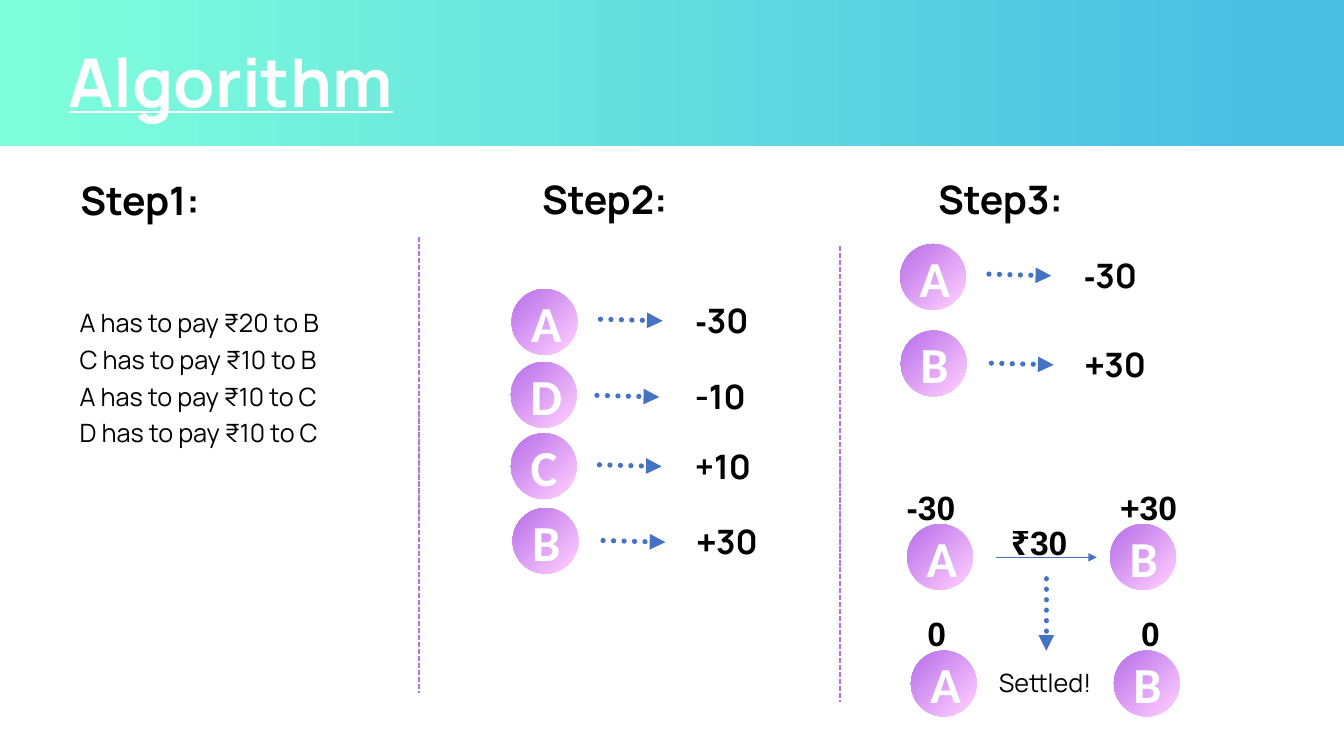
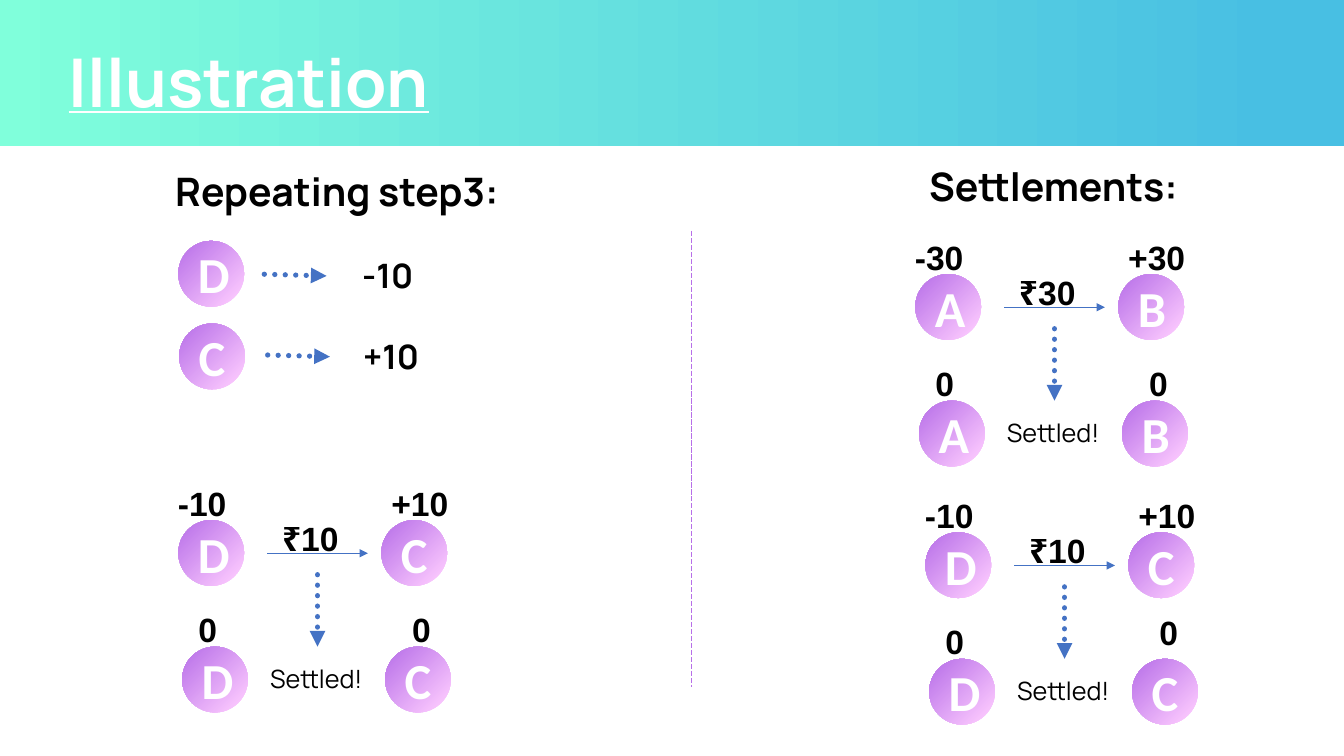
import collections
import dataclasses

import lxml.etree
import pptx
import pptx.dml.color
import pptx.enum.dml
import pptx.enum.shapes
import pptx.enum.text
import pptx.oxml.ns
import pptx.util

Pt = pptx.util.Pt
qn = pptx.oxml.ns.qn
DASH = pptx.enum.dml.MSO_LINE
SHAPE = pptx.enum.shapes.MSO_SHAPE
ALIGN = pptx.enum.text.PP_ALIGN
ANCHOR = pptx.enum.text.MSO_ANCHOR


# Colours, fonts and sizes
@dataclasses.dataclass(frozen=True)
class Theme:
    white: str = "FFFFFF"
    ink: str = "000000"
    arrow: str = "4472C4"
    divider: str = "B76FE8"
    band: tuple = ((0, "80FFDB"), (0.95, "48BFE3"))
    ball: tuple = ((0.05, "FFCDFF"), (1, "B66EE8"))
    main_font: str = "Manrope"
    figure_font: str = "Arial"
    ball_font: str = "Calibri"
    title_size: int = 48
    ball_size: int = 36
    heading_size: int = 28
    figure_size: int = 24
    body_size: int = 18


# How each person's balance row is set out, relative to the ball
Row = collections.namedtuple("Row", "arrow_x arrow_y value_y sign_font")
ROWS = {
    "A": Row(63.4, 21.5, 4, "Arial"),
    "B": Row(64.6, 23.2, 5.7, "Arial"),
    "C": Row(63.2, 22.5, 5.4, "Manrope"),
    "D": Row(61.4, 23.8, 6.4, "Manrope"),
}
BALL = 47
VALUE_X = 124.3


def rgb(code):
    return pptx.dml.color.RGBColor.from_string(code)


class Builder:
    def __init__(self, theme):
        self.theme = theme
        self.deck = pptx.Presentation()
        self.deck.slide_width, self.deck.slide_height = Pt(960), Pt(540)
        self.page = None

    # Page with its band and title
    def start_page(self, title, title_width, layout):
        self.page = self.deck.slides.add_slide(self.deck.slide_layouts[layout])
        band = self.shape(SHAPE.RECTANGLE, 0, 0, 960, 104.5, self.theme.band, 0)
        self.page.shapes.element.insert(2, band.element)
        box = self.page.shapes.title
        self.place(box, 41.8, 25.2, title_width, 65.5)
        span = self.span(box.text_frame.paragraphs[0], title, self.theme.main_font,
                         self.theme.title_size, self.theme.white, True)
        span.font.underline = True

    def place(self, box, left, top, width, height):
        box.left, box.top, box.width, box.height = map(Pt, (left, top, width, height))
        frame = box.text_frame
        frame.auto_size = pptx.enum.text.MSO_AUTO_SIZE.NONE
        frame.word_wrap = True
        frame.vertical_anchor = ANCHOR.TOP
        frame.paragraphs[0].alignment = ALIGN.LEFT

    def span(self, para, text, font, size, color, bold=False):
        span = para.add_run()
        span.text = text
        span.font.name = font
        span.font.size = Pt(size)
        span.font.bold = bold
        span.font.color.rgb = rgb(color)
        return span

    def shape(self, kind, left, top, width, height, stops, angle):
        shape = self.page.shapes.add_shape(kind, Pt(left), Pt(top), Pt(width), Pt(height))
        shape.shadow.inherit = False
        shape.line.fill.background()
        shape.fill.gradient()
        shape.fill.gradient_angle = angle
        for stop, (position, color) in zip(shape.fill.gradient_stops, stops):
            stop.position = position
            stop.color.rgb = rgb(color)
        return shape

    def text(self, left, top, width, height, spans, size, bold=True):
        box = self.page.shapes.add_textbox(Pt(left), Pt(top), Pt(width), Pt(height))
        self.place(box, left, top, width, height)
        for words, font in spans:
            self.span(box.text_frame.paragraphs[0], words, font, size, self.theme.ink, bold)

    def heading(self, words, left, top, width=168.5):
        self.text(left, top, width, 41, [(words, self.theme.main_font)],
                  self.theme.heading_size)

    def figure(self, words, left, top):
        self.text(left, top, 64, 36, [(words, self.theme.figure_font)],
                  self.theme.figure_size)

    # Plain list in the body placeholder
    def listing(self, lines, left, top, width, height):
        box = self.page.placeholders[1]
        self.place(box, left, top, width, height)
        frame = box.text_frame
        for index, line in enumerate(lines):
            para = frame.add_paragraph() if index else frame.paragraphs[0]
            para.alignment = ALIGN.LEFT
            para.line_spacing = 1.0
            para.space_before = Pt(0)
            para.space_after = Pt(4.65)
            props = para._p.get_or_add_pPr()
            props.set("marL", "0")
            props.set("indent", "0")
            lxml.etree.SubElement(props, qn("a:buNone"))
            self.span(para, line, self.theme.main_font, self.theme.body_size, self.theme.ink)

    def line(self, x1, y1, x2, y2, color, weight, dash=None, head=False):
        line = self.page.shapes.add_connector(
            pptx.enum.shapes.MSO_CONNECTOR.STRAIGHT, Pt(x1), Pt(y1), Pt(x2), Pt(y2))
        line.line.color.rgb = rgb(color)
        line.line.width = Pt(weight)
        props = line.element.spPr
        stroke = props.find(qn("a:ln"))
        if dash:
            line.line.dash_style = dash
        if dash == DASH.ROUND_DOT:
            stroke.set("cap", "rnd")
        if head:
            lxml.etree.SubElement(stroke, qn("a:tailEnd"), type="triangle")
        lxml.etree.SubElement(props, qn("a:effectLst"))

    def dotted_arrow(self, x1, y1, x2, y2):
        self.line(x1, y1, x2, y2, self.theme.arrow, 3.75, DASH.ROUND_DOT, True)

    def divider(self, x, top):
        self.line(x, top, x, top + 325.7, self.theme.divider, 1.25, DASH.SQUARE_DOT)

    def ball(self, name, left, top):
        ball = self.shape(SHAPE.OVAL, left, top, BALL, BALL, self.theme.ball, 135)
        ball.text_frame.vertical_anchor = ANCHOR.MIDDLE
        para = ball.text_frame.paragraphs[0]
        para.alignment = ALIGN.CENTER
        self.span(para, name, self.theme.ball_font, self.theme.ball_size,
                  self.theme.white, True)

    # Person, arrow and net balance
    def balance(self, name, value, left, top):
        row = ROWS[name]
        self.ball(name, left, top)
        x, y = left + row.arrow_x, top + row.arrow_y
        self.dotted_arrow(x, y, x + 44.5, y + 1.2)
        if row.sign_font == self.theme.main_font:
            spans = [(value, self.theme.main_font)]
        else:
            spans = [(value[0], row.sign_font), (value[1:], self.theme.main_font)]
        self.text(left + VALUE_X, top + row.value_y, 64, 36, spans, self.theme.figure_size)

    # Payment from debtor to creditor, and the settled state below it
    def settlement(self, debtor, creditor, amount, left, top, zero_lift=0):
        self.figure(f"₹{amount}", left + 67, top - 5.2)
        self.line(left + 63.4, top + 23.7, left + 135.4, top + 23.7,
                  self.theme.arrow, 0.5, head=True)
        self.dotted_arrow(left + 99.4, top + 39, left + 99.4, top + 90.4)
        people = ((debtor, "-", 0, -7.4, 7.3, 0),
                  (creditor, "+", 145, 145, 160, zero_lift))
        for name, sign, ball_x, figure_x, zero_x, lift in people:
            self.ball(name, left + ball_x, top)
            self.figure(f"{sign}{amount}", left + figure_x, top - 30.3)
            self.ball(name, left + ball_x + 2.7, top + 90.4)
            self.figure("0", left + zero_x, top + 59.7 - lift)
        self.text(left + 58.4, top + 98.5, 89.3, 29, [("Settled!", self.theme.main_font)],
                  self.theme.body_size, False)


show = Builder(Theme())

# Algorithm
show.start_page("Algorithm", 267.8, 1)
show.heading("Step1:", 50.4, 122.4)
show.listing(["A has to pay ₹20 to B", "C has to pay ₹10 to B",
              "A has to pay ₹10 to C", "D has to pay ₹10 to C"], 49.7, 216, 247.7, 117)
show.divider(299.5, 169.2)
show.heading("Step2:", 380.2, 121.7)
for row in (("A", "-30", 365.5, 206.5), ("D", "-10", 365, 258.6),
            ("C", "+10", 365, 309.5), ("B", "+30", 366.2, 362.9)):
    show.balance(*row)
show.divider(600, 175.7)
show.heading("Step3:", 663.1, 121.7)
show.balance("A", "-30", 643, 174.3)
show.balance("B", "+30", 643.5, 236.2)
show.settlement("A", "B", 30, 648, 374.4)

# Illustration
show.start_page("Illustration", 318.2, 5)
show.heading("Repeating step3:", 118.1, 115.9, 273.6)
show.balance("D", "-10", 127.4, 172.1)
show.balance("C", "+10", 128, 231.1)
show.settlement("D", "C", 10, 127.4, 371.5)
show.divider(494, 164.9)
show.heading("Settlements:", 656.6, 112.3, 200.9)
show.settlement("A", "B", 30, 653.8, 195.8)
show.settlement("D", "C", 10, 661, 380.2, zero_lift=6.5)

show.deck.save("out.pptx")
